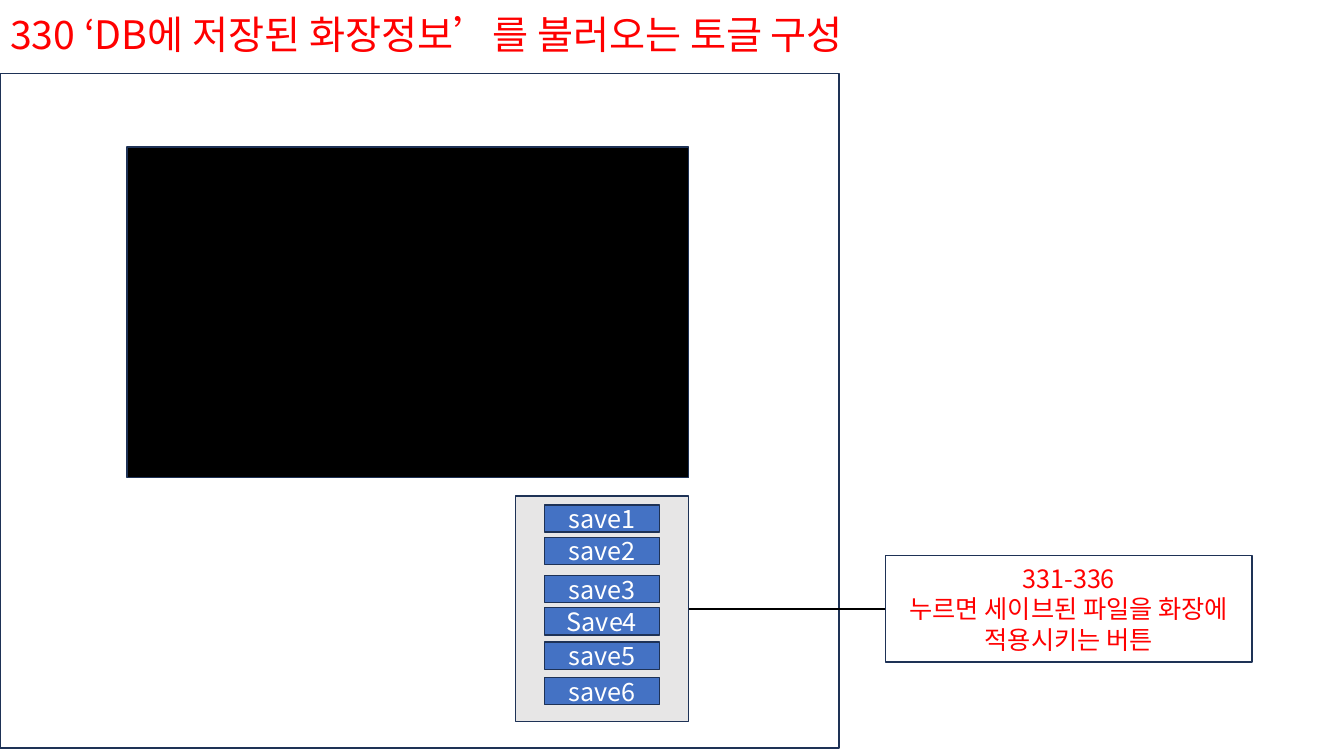
from dataclasses import dataclass

from lxml import etree
from pptx import Presentation
from pptx.dml.color import RGBColor
from pptx.enum.shapes import MSO_CONNECTOR, MSO_SHAPE
from pptx.enum.text import MSO_ANCHOR, MSO_AUTO_SIZE, PP_ALIGN
from pptx.oxml.ns import qn
from pptx.util import Inches, Pt

RECTANGLE = MSO_SHAPE.RECTANGLE
ELBOW = MSO_CONNECTOR.ELBOW
MIDDLE = MSO_ANCHOR.MIDDLE
NO_AUTOFIT = MSO_AUTO_SIZE.NONE
LEFT, CENTER = PP_ALIGN.LEFT, PP_ALIGN.CENTER
LEFT_SIDE, RIGHT_SIDE = 1, 3


@dataclass(frozen=True)
class Theme:
    font: str = "Noto Sans CJK KR"
    title_size: int = 28
    body_size: int = 18
    red: RGBColor = RGBColor(0xFF, 0x00, 0x00)
    white: RGBColor = RGBColor(0xFF, 0xFF, 0xFF)
    black: RGBColor = RGBColor(0x00, 0x00, 0x00)
    gray: RGBColor = RGBColor(0xE7, 0xE6, 0xE6)
    blue: RGBColor = RGBColor(0x44, 0x72, 0xC4)
    outline: RGBColor = RGBColor(0x1E, 0x32, 0x56)


theme = Theme()


def write_text(shape, text, size, color, alignment):
    """Fill the shape with one middle-anchored paragraph in the theme font."""
    frame = shape.text_frame
    frame.word_wrap = True
    frame.auto_size = NO_AUTOFIT
    frame.vertical_anchor = MIDDLE
    para = frame.paragraphs[0]
    para.text = text
    para.alignment = alignment
    for span in para.runs:
        span.font.name = theme.font
        span.font.size = Pt(size)
        span.font.color.rgb = color
        east_asian = etree.SubElement(span.font._element, qn("a:ea"))
        east_asian.set("typeface", theme.font)


def add_box(left, top, width, height, fill=None):
    """Add an outlined rectangle, unfilled unless a colour is given."""
    box = page.shapes.add_shape(
        RECTANGLE, Inches(left), Inches(top), Inches(width), Inches(height))
    box.shadow.inherit = False
    box.line.color.rgb = theme.outline
    box.line.width = Pt(1)
    if fill is None:
        box.fill.background()
    else:
        box.fill.solid()
        box.fill.fore_color.rgb = fill
    return box


deck = Presentation()
deck.slide_width = Inches(13.33)
deck.slide_height = Inches(7.5)
page = deck.slides.add_slide(deck.slide_layouts[5])

title = page.shapes.title
title.left, title.top = Inches(0), Inches(0)
title.width, title.height = Inches(9), Inches(0.73)
write_text(title, "330 ‘DB에 저장된 화장정보’를 불러오는 토글 구성",
           theme.title_size, theme.red, LEFT)
title.text_frame.paragraphs[0].line_spacing = 0.9

# Application window with its camera screen and save panel
add_box(1.26, 1.46, 5.57, 3.28, theme.black)
add_box(0, 0.73, 8.32, 6.69)
save_panel = add_box(5.11, 4.92, 1.72, 2.24, theme.gray)

save_buttons = [("save1", 5.01), ("save2", 5.33), ("save3", 5.71),
                ("Save4", 6.03), ("save5", 6.37), ("save6", 6.72)]
for label, top in save_buttons:
    button = add_box(5.4, top, 1.14, 0.27, theme.blue)
    write_text(button, label, theme.body_size, theme.white, CENTER)

# Callout joined to the save panel
callout = add_box(8.78, 5.51, 3.64, 1.06)
write_text(callout, "331-336\v누르면 세이브된 파일을 화장에 적용시키는 버튼",
           theme.body_size, theme.red, CENTER)

leader = page.shapes.add_connector(
    ELBOW, Inches(6.83), Inches(6.04), Inches(8.78), Inches(6.04))
leader.begin_connect(save_panel, RIGHT_SIDE)
leader.end_connect(callout, LEFT_SIDE)
leader.line.color.rgb = theme.black
leader.line.width = Pt(1)
etree.SubElement(leader._element.spPr, qn("a:effectLst"))

deck.save("out.pptx")
